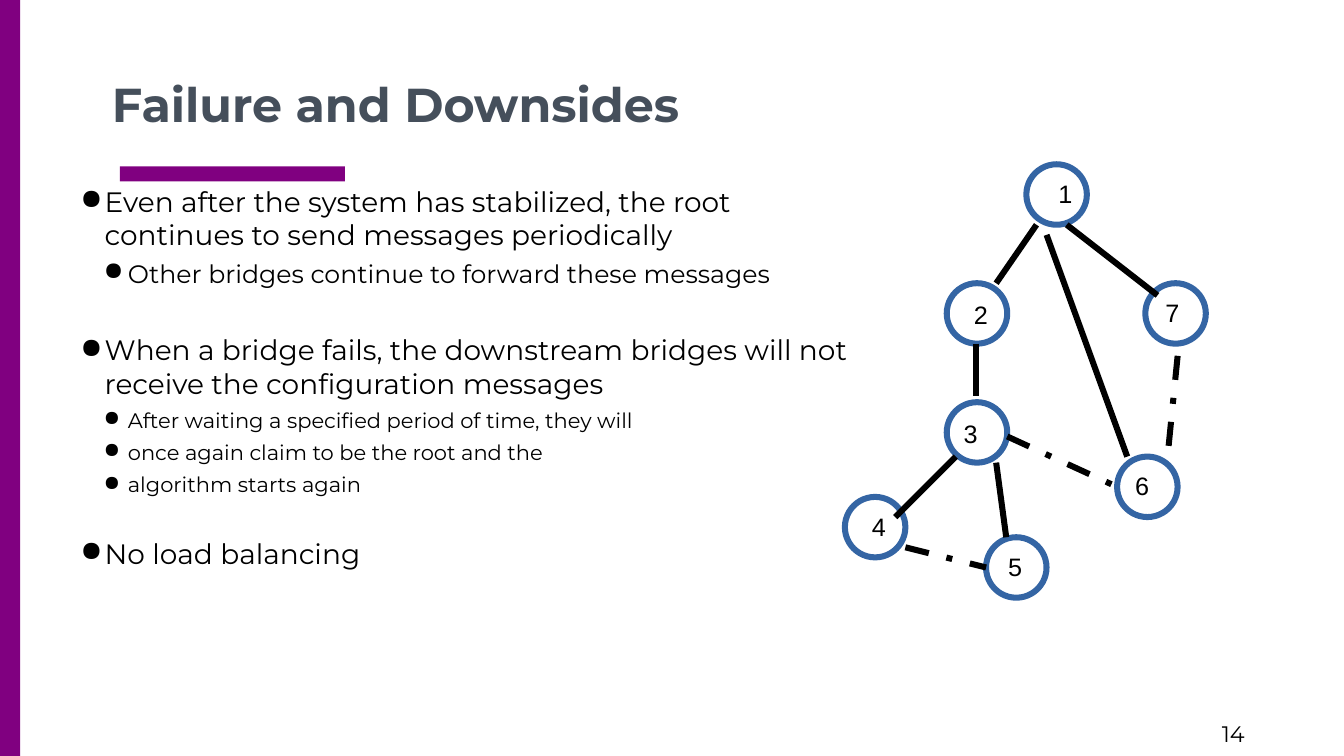
"""Build the slide on failure and downsides of the bridge tree."""
from pptx import Presentation
from pptx.dml.color import RGBColor
from pptx.enum import dml, shapes, text
from pptx.oxml import ns, xmlchemy
from pptx.util import Inches, Pt

PURPLE = RGBColor(0x80, 0x00, 0x80)
SLATE = RGBColor(0x45, 0x4F, 0x5B)
BLUE = RGBColor(0x34, 0x65, 0xA4)
BLACK = RGBColor(0, 0, 0)

TITLE = "Failure and Downsides"
NUMBER = "14"
SANS, PLAIN = "Montserrat", "Arial"
BARS = [(1.19, 1.65, 2.23, 0.15), (0, 0, 0.2, 7.5)]

# (text, indent, size, space before)
POINTS = [
    ("Even after the system has stabilized, the root\n"
     "continues to send messages periodically", 0.71, 20, 0),
    ("Other bridges continue to forward these messages", 0.94, 18, 4.5),
    ("When a bridge fails, the downstream bridges will not\n"
     "receive the configuration messages", 0.71, 20, 32),
    ("After waiting a specified period of time, they will", 0.94, 15, 5),
    ("once again claim to be the root and the", 0.94, 15, 5),
    ("algorithm starts again", 0.94, 15, 5),
    ("No load balancing", 0.71, 20, 28.3),
]
HANG = -0.24

NODES = {
    "1": ((10.18, 1.63), (10.4, 1.72)),
    "2": ((9.39, 2.81), (9.56, 2.92)),
    "3": ((9.39, 3.99), (9.46, 4.1)),
    "4": ((8.38, 4.93), (8.55, 5.02)),
    "5": ((9.78, 5.33), (9.9, 5.42)),
    "6": ((11.08, 4.53), (11.16, 4.62)),
    "7": ((11.36, 2.81), (11.46, 2.9)),
}
SIZE, STROKE = 0.6, Pt(4.31)
LINKS = [
    (10.28, 2.23, 9.88, 2.81),
    (10.58, 2.23, 11.48, 2.93),
    (10.38, 2.33, 11.18, 4.53),
    (9.68, 3.41, 9.68, 3.93),
    (9.48, 4.53, 8.88, 5.13),
    (9.88, 4.59, 9.98, 5.33),
]
SPARES = [
    (9.99, 4.33, 11.08, 4.83),
    (11.68, 3.53, 11.58, 4.53),
    (8.98, 5.43, 9.78, 5.63),
]


def style(para, face, size, color=BLACK, bold=False):
    font = para.font
    font.name, font.size, font.bold = face, Pt(size), bold
    font.color.rgb = color


def add_text(slide, box, words, face, size, wrap=True):
    frame = slide.shapes.add_textbox(*map(Inches, box)).text_frame
    frame.word_wrap = wrap
    para = frame.paragraphs[0]
    para.text = words
    style(para, face, size)


def add_bar(slide, box):
    bar = slide.shapes.add_shape(shapes.MSO_SHAPE.RECTANGLE, *map(Inches, box))
    bar.shadow.inherit = False
    bar.fill.solid()
    bar.fill.fore_color.rgb = PURPLE
    bar.line.fill.background()


def add_title(slide):
    title = slide.shapes.title
    title.left, title.top, title.width, title.height = map(
        Inches, (1.01, 0, 11.31, 1.41))
    frame = title.text_frame
    frame.vertical_anchor = text.MSO_ANCHOR.BOTTOM
    frame.auto_size = text.MSO_AUTO_SIZE.NONE
    frame.margin_left = frame.margin_right = Inches(0.1)
    frame.margin_top = frame.margin_bottom = Inches(0.1)
    para = frame.paragraphs[0]
    para.text = TITLE
    para.alignment = text.PP_ALIGN.LEFT
    style(para, SANS, 34, SLATE, True)


def add_points(slide):
    box = slide.shapes.add_textbox(*map(Inches, (0.23, 1.78, 12.37, 5.54)))
    frame = box.text_frame
    frame.word_wrap = True
    for i, (words, left, size, gap) in enumerate(POINTS):
        para = frame.add_paragraph() if i else frame.paragraphs[0]
        para.text = words
        para.space_before = Pt(gap)
        style(para, SANS, size)
        props = para._p.get_or_add_pPr()
        props.set("marL", str(Inches(left)))
        props.set("indent", str(Inches(HANG)))
        mark = xmlchemy.OxmlElement("a:buChar")
        mark.set("char", "●")
        props.insert_element_before(mark, "a:tabLst", "a:defRPr", "a:extLst")


def add_node(slide, spot):
    ring = slide.shapes.add_shape(
        shapes.MSO_SHAPE.OVAL, *map(Inches, (*spot, SIZE, SIZE)))
    ring.shadow.inherit = False
    ring.fill.background()
    ring.line.color.rgb = BLUE
    ring.line.width = STROKE


def add_link(slide, ends, dashed):
    link = slide.shapes.add_connector(
        shapes.MSO_CONNECTOR.STRAIGHT, *map(Inches, ends))
    link.line.color.rgb = BLACK
    link.line.width = STROKE
    if dashed:
        link.line.dash_style = dml.MSO_LINE.DASH_DOT
    props = link._element.find(ns.qn("p:spPr"))
    props.append(xmlchemy.OxmlElement("a:effectLst"))


def main():
    deck = Presentation()
    deck.slide_width, deck.slide_height = Inches(13.33), Inches(7.5)
    slide = deck.slides.add_slide(deck.slide_layouts[5])
    for box in BARS:
        add_bar(slide, box)
    add_text(slide, (12.02, 7.1, 1.3, 0.4), NUMBER, SANS, 16)
    add_title(slide)
    add_points(slide)
    for ring, _ in NODES.values():
        add_node(slide, ring)
    for ends in LINKS + SPARES:
        add_link(slide, ends, ends in SPARES)
    for name, (_, spot) in NODES.items():
        add_text(slide, (*spot, 0.34, 0.38), name, PLAIN, 18)
    deck.save("out.pptx")


if __name__ == "__main__":
    main()
